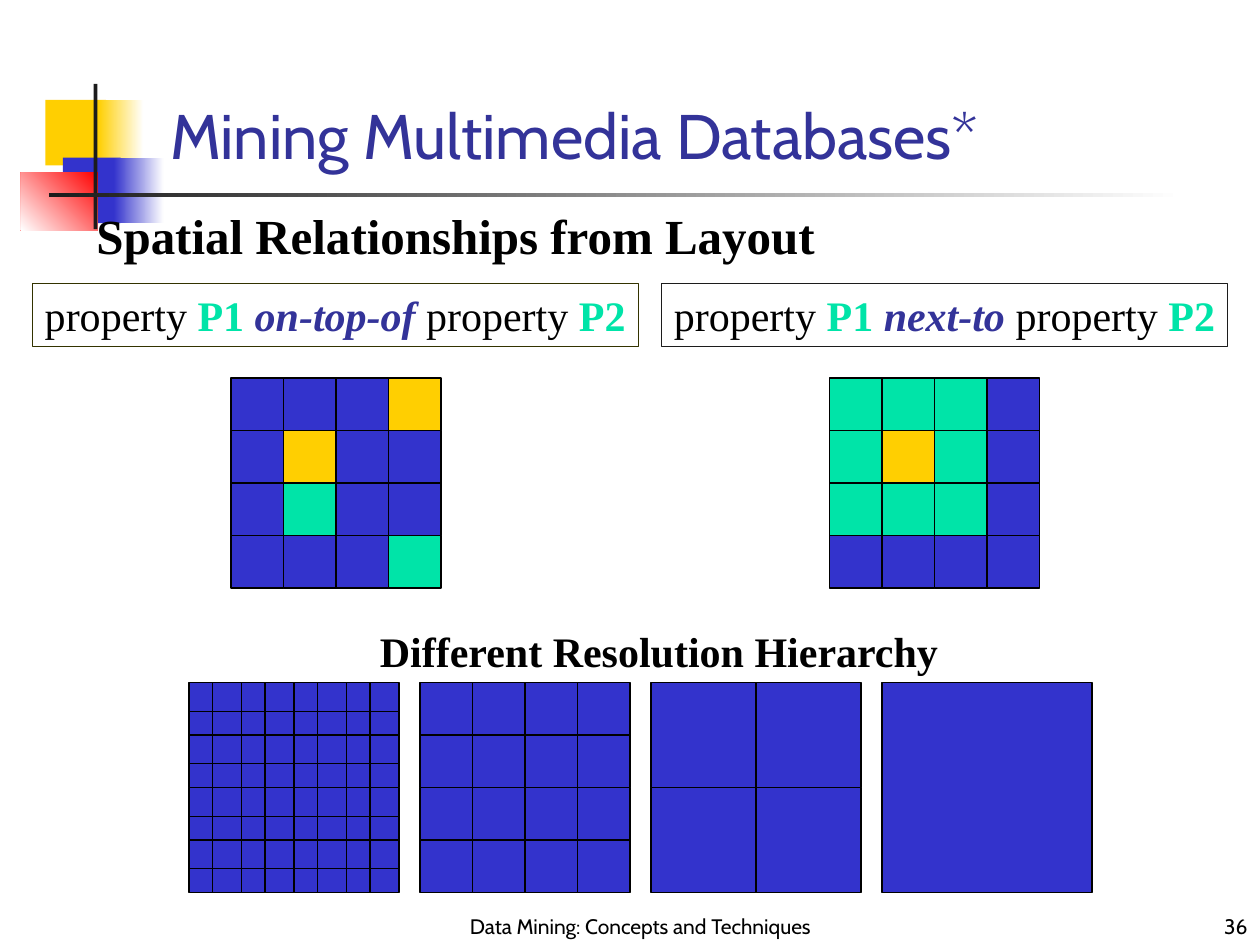
from dataclasses import dataclass
from lxml import etree
from pptx import Presentation
from pptx.dml.color import RGBColor
from pptx.enum.shapes import MSO_CONNECTOR, MSO_SHAPE
from pptx.enum.text import MSO_ANCHOR, PP_ALIGN
from pptx.oxml.ns import qn
from pptx.util import Pt

RECT = MSO_SHAPE.RECTANGLE
LINE = MSO_CONNECTOR.STRAIGHT
TOP, BOTTOM = MSO_ANCHOR.TOP, MSO_ANCHOR.BOTTOM
LEFT, CENTER, RIGHT = PP_ALIGN.LEFT, PP_ALIGN.CENTER, PP_ALIGN.RIGHT


@dataclass(frozen=True)
class Theme:
    blue: str = "3333CC"
    gold: str = "FFCF01"
    green: str = "00E4A8"
    red: str = "FF0000"
    navy: str = "333399"
    olive: str = "333300"
    dark: str = "1C1C1C"
    black: str = "000000"
    white: str = "FFFFFF"
    serif: str = "Times New Roman"
    sans: str = "Cabin"
    title: int = 36
    head: int = 28
    text: int = 24
    foot: int = 12
    edge: float = 0.75


T = Theme()
HUES = {"B": T.blue, "Y": T.gold, "G": T.green}
ON_TOP = ("BBBY", "BYBB", "BGBB", "BBBG")
NEXT_TO = ("GGGB", "GYGB", "GGGB", "BBBB")


def rgb(hue):
    return RGBColor.from_string(hue)


def pts(*nums):
    return [Pt(n) for n in nums]


def edge(line, hue):
    line.color.rgb = rgb(hue)
    line.width = Pt(T.edge)


def block(slide, box, hue, end=None, angle=0, rim=None):
    """Add a rectangle, plain or fading from hue to end."""
    shape = slide.shapes.add_shape(RECT, *pts(*box))
    shape.shadow.inherit = False
    if end:
        shape.fill.gradient()
        shape.fill.gradient_angle = angle
        for stop, tone in zip(shape.fill.gradient_stops, (hue, end)):
            stop.color.rgb = rgb(tone)
    else:
        shape.fill.solid()
        shape.fill.fore_color.rgb = rgb(hue)
    if rim:
        edge(shape.line, rim)
    else:
        shape.line.fill.background()


def rule(slide, *ends):
    line = slide.shapes.add_connector(LINE, *pts(*ends))
    edge(line.line, T.black)
    etree.SubElement(line._element.spPr, qn("a:effectLst"))


def write(shape, runs, anchor=TOP, align=LEFT, wrap=True, **base):
    """Fill a shape with runs of (text, format values) over base values."""
    frame = shape.text_frame
    frame.word_wrap = wrap
    frame.vertical_anchor = anchor
    para = frame.paragraphs[0]
    para.alignment = align
    for text, extra in runs:
        run = para.add_run()
        run.text = text
        look = {**base, **extra}
        run.font.color.rgb = rgb(look.pop("hue", T.black))
        for key, value in look.items():
            setattr(run.font, key, value)


def label(slide, box, runs, rim=None, **look):
    shape = slide.shapes.add_textbox(*pts(*box))
    if rim:
        edge(shape.line, rim)
    write(shape, runs, **look)


def grid(slide, left, top, rows, size=30, split=False):
    """Draw one square per letter in rows; split cuts each into four."""
    for r, row in enumerate(rows):
        for c, key in enumerate(row):
            x, y = left + c * size, top + r * size
            block(slide, (x, y, size, size), HUES[key], rim=T.black)
            if split:
                rule(slide, x + 13.5, y, x + 13.5, y + size)
                rule(slide, x, y + 16.5, x + size, y + 16.5)


def decor(slide):
    block(slide, (26, 57, 34.5, 37.5), T.gold)
    block(slide, (56, 57, 26, 37.5), T.gold, T.white)
    block(slide, (36, 90, 33, 37.5), T.blue)
    block(slide, (65, 90, 28.5, 37.5), T.blue, T.white)
    block(slide, (12, 98.5, 44, 33), T.red, T.white, 225)
    block(slide, (53.5, 48, 2.2, 83), T.dark)
    block(slide, (28, 110.5, 648, 2.2), T.dark, T.white)


def title(slide, box, text):
    shape = slide.shapes.title
    places = dict(zip(("left", "top", "width", "height"), pts(*box)))
    for key, value in places.items():
        setattr(shape, key, value)
    write(shape, [(text, {})], BOTTOM,
          name=T.sans, size=Pt(T.title), hue=T.navy)


def claim(slide, box, link, rim):
    """Add a framed sentence that relates P1 to P2."""
    prop = {"hue": T.green, "bold": True}
    runs = [("property ", {}), ("P1 ", prop),
            (link, {"hue": T.navy, "bold": True, "italic": True}),
            (" property ", {}), ("P2", prop)]
    label(slide, box, runs, rim, wrap=False, name=T.serif, size=Pt(T.text))


def main():
    deck = Presentation()
    deck.slide_width, deck.slide_height = pts(720, 540)
    slide = deck.slides.add_slide(deck.slide_layouts[5])
    decor(slide)
    title(slide, (90, 54, 613.5, 48), "Mining Multimedia Databases*")

    bold = {"name": T.serif, "bold": True}
    label(slide, (48, 114, 432, 41),
          [("Spatial Relationships from Layout", {})],
          size=Pt(T.head), **bold)
    claim(slide, (18.5, 162, 346.5, 36), "on-top-of", T.olive)
    claim(slide, (378, 162, 323.5, 36), "next-to", T.dark)
    grid(slide, 132, 216, ON_TOP)
    grid(slide, 474, 216, NEXT_TO)

    label(slide, (210, 354, 334, 36),
          [("Different Resolution Hierarchy", {})],
          wrap=False, size=Pt(T.text), **bold)
    for i, count in enumerate((4, 4, 2, 1)):
        grid(slide, 108 + 132 * i, 390, ["B" * count] * count,
             120 / count, split=i == 0)

    foot = {"anchor": BOTTOM, "name": T.sans, "size": Pt(T.foot)}
    label(slide, (252, 498, 228, 42),
          [("Data Mining: Concepts and Techniques", {})],
          align=CENTER, **foot)
    label(slide, (570, 504, 150, 36), [("36", {})], align=RIGHT, **foot)
    deck.save("out.pptx")


if __name__ == "__main__":
    main()
